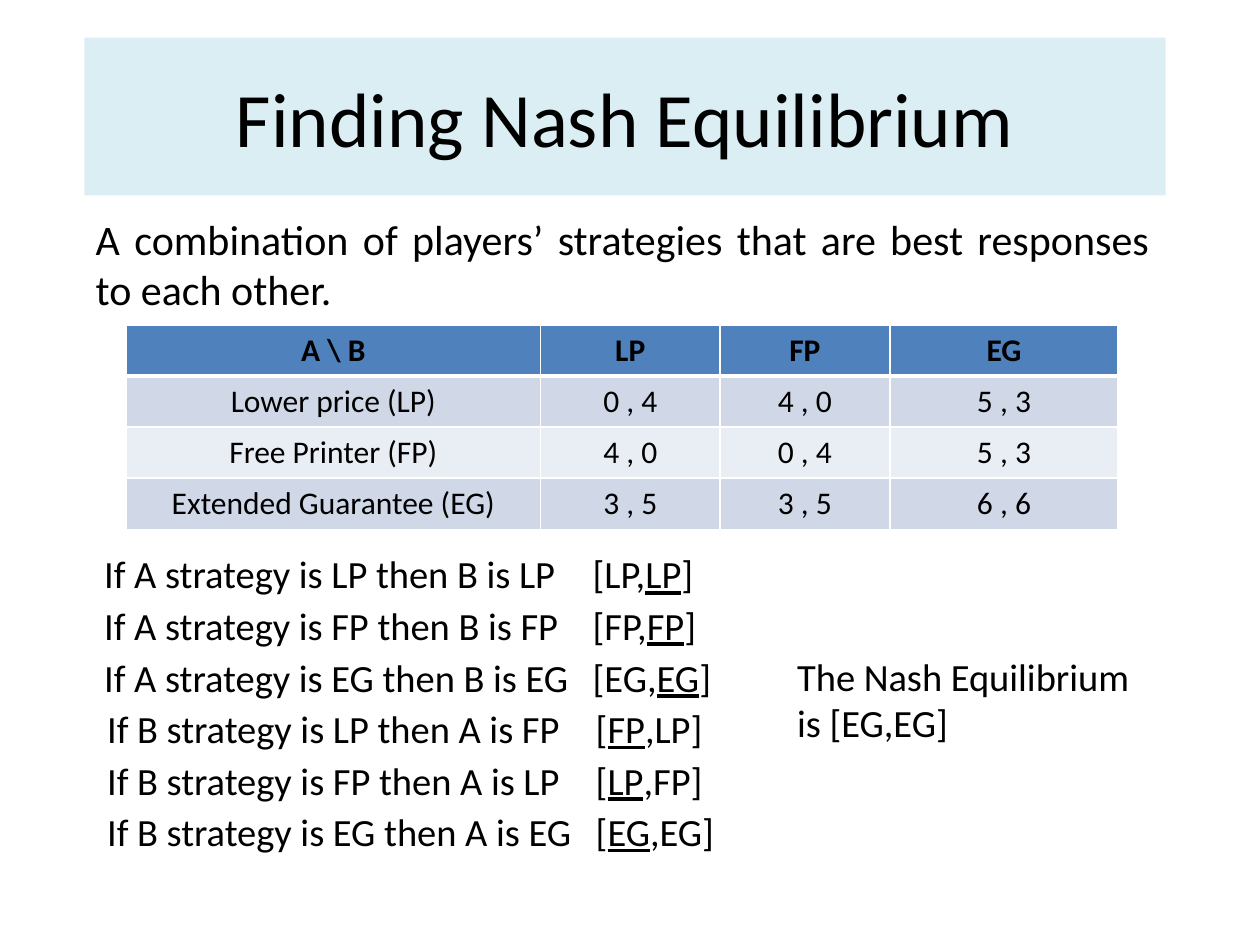
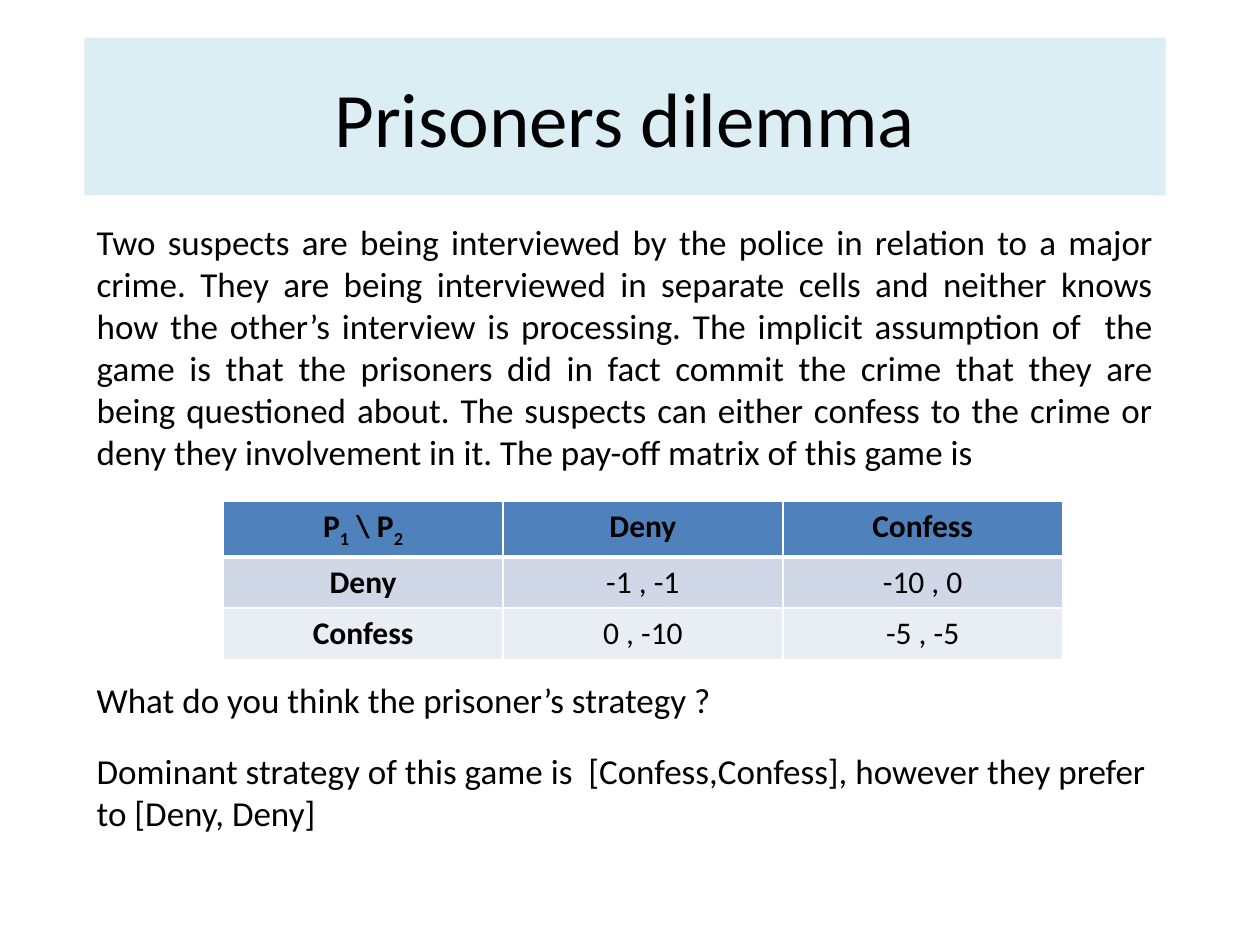
from lxml import etree
from pptx import Presentation
from pptx.dml.color import RGBColor
from pptx.enum.text import MSO_ANCHOR, MSO_AUTO_SIZE, PP_ALIGN
from pptx.oxml.ns import qn
from pptx.util import Cm, Pt

LEFT, CENTER, JUSTIFY = PP_ALIGN.LEFT, PP_ALIGN.CENTER, PP_ALIGN.JUSTIFY
MIDDLE = MSO_ANCHOR.MIDDLE
GROW = MSO_AUTO_SIZE.SHAPE_TO_FIT_TEXT

BLACK = RGBColor(0x00, 0x00, 0x00)
WHITE = RGBColor(0xFF, 0xFF, 0xFF)
BAND = RGBColor(0xDB, 0xEE, 0xF4)
HEAD = RGBColor(0x4F, 0x81, 0xBD)
ROWS = (RGBColor(0xE9, 0xED, 0xF4), RGBColor(0xD0, 0xD8, 0xE8))
FONT = "Calibri"
EDGE, WIDE = 1.7, 21.8


def underline(run):
    run.font.underline = True


def lower(run):
    """Make the run a subscript."""
    run.font._element.set("baseline", "-25000")


class Deck:
    def __init__(self):
        self.prs = Presentation()
        self.prs.slide_width, self.prs.slide_height = Cm(25.4), Cm(19.05)
        self.slide = None

    def label(self, par, text, size, align=LEFT, bold=False, mark=underline):
        """Fill a paragraph; parts between underscores are marked."""
        par.alignment = align
        for i, part in enumerate(text.split("_")):
            if not part:
                continue
            run = par.add_run()
            run.text = part
            font = run.font
            font.name, font.size, font.bold = FONT, Pt(size), bold
            font.color.rgb = BLACK
            if i % 2:
                mark(run)

    def page(self, title):
        self.slide = self.prs.slides.add_slide(self.prs.slide_layouts[5])
        band = self.slide.shapes.title
        band.left, band.top = Cm(EDGE), Cm(0.76)
        band.width, band.height = Cm(WIDE), Cm(3.18)
        band.fill.solid()
        band.fill.fore_color.rgb = BAND
        band.text_frame.vertical_anchor = MIDDLE
        self.label(band.text_frame.paragraphs[0], title, 44, CENTER)

    def text(self, words, x, y, w, h, size, align=LEFT, tab=None):
        box = self.slide.shapes.add_textbox(Cm(x), Cm(y), Cm(w), Cm(h))
        frame = box.text_frame
        frame.word_wrap, frame.auto_size = True, GROW
        par = frame.paragraphs[0]
        if tab:
            stops = etree.SubElement(par._p.get_or_add_pPr(), qn("a:tabLst"))
            etree.SubElement(stops, qn("a:tab"), pos=str(Cm(tab)), algn="l")
        self.label(par, words, size, align)

    def border(self, cell, row):
        """Draw white cell edges, thicker under the header row."""
        props = cell._tc.get_or_add_tcPr()
        thick = {"T": row == 1, "B": row == 0}
        for i, side in enumerate("LRTB"):
            width = Pt(3 if thick.get(side) else 1)
            line = etree.Element(qn("a:ln" + side), w=str(width))
            fill = etree.SubElement(line, qn("a:solidFill"))
            etree.SubElement(fill, qn("a:srgbClr"), val=str(WHITE))
            props.insert(i, line)

    def table(self, data, x, y, widths, high=1.03, lead=False):
        """Add a table with a bold header and, with lead, a bold first column."""
        frame = self.slide.shapes.add_table(
            len(data), len(widths), Cm(x), Cm(y),
            Cm(sum(widths)), Cm(high * len(data)))
        grid = frame.table
        for col, width in zip(grid.columns, widths):
            col.width = Cm(width)
        for r, row in enumerate(data):
            grid.rows[r].height = Cm(high)
            for c, words in enumerate(row):
                cell = grid.cell(r, c)
                cell.fill.solid()
                cell.fill.fore_color.rgb = ROWS[r % 2] if r else HEAD
                self.border(cell, r)
                bold = r == 0 or (lead and c == 0)
                self.label(cell.text_frame.paragraphs[0], words, 18, CENTER,
                           bold, lower)


def nash(deck):
    deck.page("Finding Nash Equilibrium")
    deck.table([
        ("A \\ B", "LP", "FP", "EG"),
        ("Lower price (LP)", "0 , 4", "4 , 0", "5 , 3"),
        ("Free Printer (FP)", "4 , 0", "0 , 4", "5 , 3"),
        ("Extended Guarantee (EG)", "3 , 5", "3 , 5", "6 , 6"),
    ], 2.54, 6.55, (8.36, 3.61, 3.43, 4.6))
    replies = [("A", "LP", "B", "LP"), ("A", "FP", "B", "FP"),
               ("A", "EG", "B", "EG"), ("B", "LP", "A", "FP"),
               ("B", "FP", "A", "LP"), ("B", "EG", "A", "EG")]
    for i, (first, move, other, reply) in enumerate(replies):
        if first == "A":
            left, pair = 1.85, f"{move},_{reply}_"
        else:
            left, pair = 1.91, f"_{reply}_,{move}"
        deck.text(f"If {first} strategy is {move} then {other} is {reply}"
                  f"\t[{pair}]", left, 10.97 + 1.04 * i, 13.4, 1.19, 22,
                  tab=9.85)
    deck.text("The Nash Equilibrium is [EG,EG]", 15.82, 13.03, 7.62, 2.13, 22)
    deck.text("A combination of players’ strategies that are best responses "
              "to each other.", 1.68, 4.17, 21.74, 2.31, 24, JUSTIFY)


def prison(deck):
    deck.page("Prisoners dilemma")
    deck.text(
        "Two suspects are being interviewed by the police in relation to a "
        "major crime. They are being interviewed in separate cells and "
        "neither knows how the other’s interview is processing. The implicit "
        "assumption of  the game is that the prisoners did in fact commit "
        "the crime that they are being questioned about. The suspects can "
        "either confess to the crime or deny they involvement in it. The "
        "pay-off matrix of this game is",
        EDGE, 4.32, WIDE, 5.38, 20, JUSTIFY)
    deck.table([
        ("P_1_ \\ P_2_", "Deny", "Confess"),
        ("Deny", "-1 , -1", "-10 , 0"),
        ("Confess", "0 , -10", "-5 , -5"),
    ], 4.5, 10.11, (5.64,) * 3, lead=True)
    deck.text("What do you think the prisoner’s strategy ?",
              EDGE, 13.56, 13.2, 1.12, 20)
    deck.text("Dominant strategy of this game is  [Confess,Confess], however "
              "they prefer to [Deny, Deny]", EDGE, 14.99, WIDE, 1.96, 20)


def main():
    deck = Deck()
    nash(deck)
    prison(deck)
    deck.prs.save("out.pptx")


if __name__ == "__main__":
    main()
